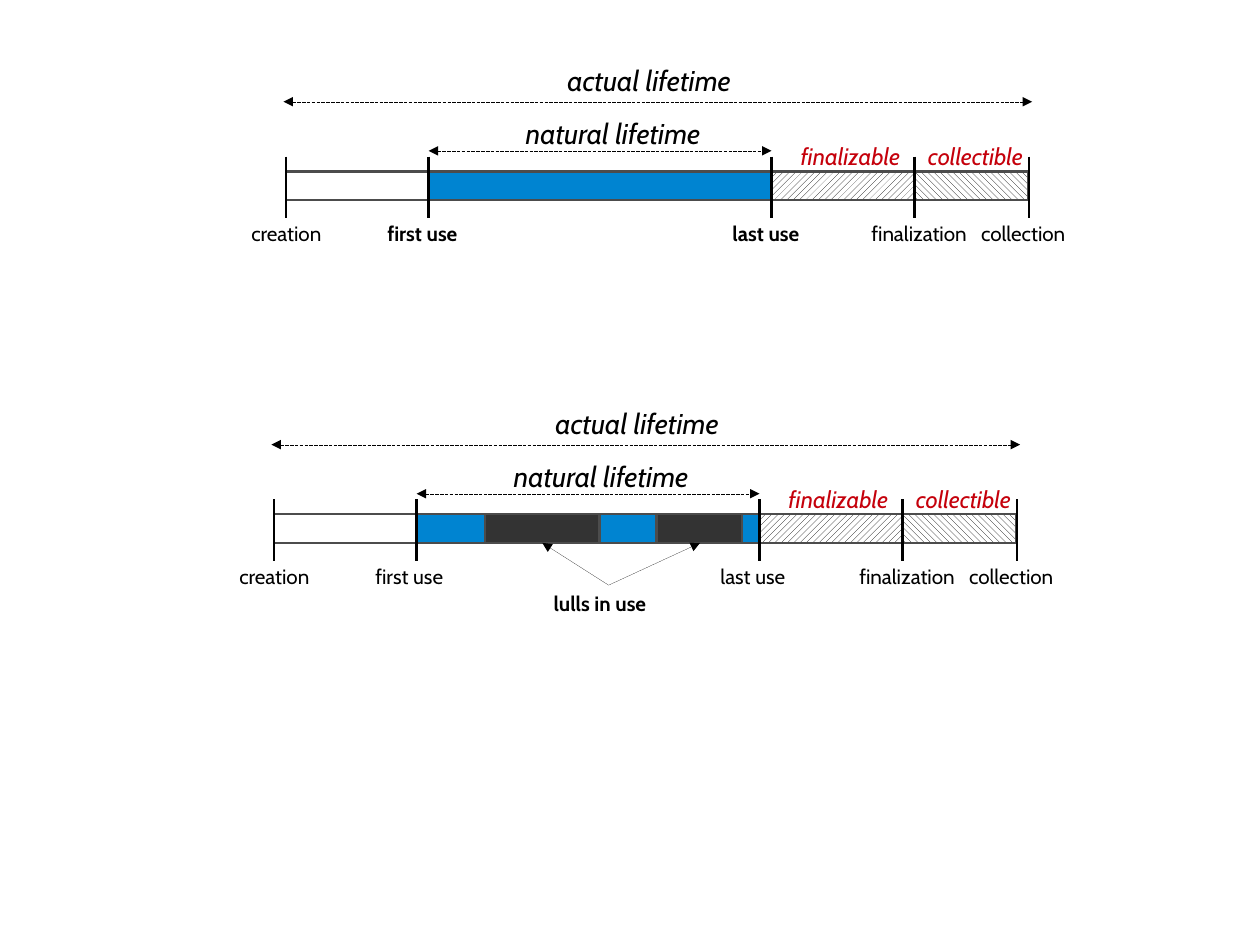
from dataclasses import dataclass
from itertools import accumulate

from lxml.etree import SubElement
from pptx import Presentation
from pptx.dml.color import RGBColor
from pptx.enum.dml import MSO_LINE, MSO_PATTERN
from pptx.enum.shapes import MSO_CONNECTOR, MSO_SHAPE
from pptx.enum.text import MSO_AUTO_SIZE
from pptx.oxml.ns import qn
from pptx.util import Cm, Inches, Pt

GRID = 0.25  # inches per column and per row
FONT = "Cabin"
BORDER = 1.45
COLORS = {
    "ink": "000000",
    "paper": "FFFFFF",
    "use": "0084D1",
    "lull": "333333",
    "border": "4C4C4C",
    "stage": "C5000B",
}

# Columns taken by each stage of the bar, with its fill
STAGES = [
    (5, None),
    (12, "use"),
    (5, MSO_PATTERN.WIDE_UPWARD_DIAGONAL),
    (4, MSO_PATTERN.WIDE_DOWNWARD_DIAGONAL),
]
# Text, column, width, width when bold
EVENTS = [
    ("creation", -1.6, 3.56, 3.56),
    ("first use", 3.16, 3.52, 3.76),
    ("last use", 15.24, 3.36, 3.56),
    ("finalization", 20.1, 4.52, 4.52),
    ("collection", 23.94, 4.04, 4.04),
]
# Text, column, row, width
LIFETIMES = [("actual lifetime", 9.46, -4, 7.12), ("natural lifetime", 8, -2.14, 7.6)]
STAGE_NAMES = [("finalizable", 17.62, 4.6), ("collectible", 22.08, 4.48)]


def color(name):
    return RGBColor.from_string(COLORS[name])


@dataclass
class Timeline:
    """Draws on the slide in grid units counted from the top left of its bar."""
    slide: object
    left: float
    top: float

    def x(self, column):
        return Inches((self.left + column) * GRID)

    def y(self, row):
        return Inches((self.top + row) * GRID)

    def add_block(self, column, width, fill):
        shape = self.slide.shapes.add_shape(
            MSO_SHAPE.RECTANGLE, self.x(column), self.y(0),
            Inches(width * GRID), Inches(GRID))
        shape.shadow.inherit = False
        shape.line.color.rgb = color("border")
        shape.line.width = Pt(BORDER)
        if fill is None:
            shape.fill.background()
        elif fill in COLORS:
            shape.fill.solid()
            shape.fill.fore_color.rgb = color(fill)
        else:
            shape.fill.patterned()
            shape.fill.pattern = fill
            shape.fill.fore_color.rgb = color("ink")
            shape.fill.back_color.rgb = color("paper")

    def add_text(self, text, column, row, width, height, size,
                 ink="ink", bold=False, italic=False):
        box = self.slide.shapes.add_textbox(
            self.x(column), self.y(row), Inches(width * GRID), Inches(height * GRID))
        frame = box.text_frame
        frame.word_wrap = False
        frame.auto_size = MSO_AUTO_SIZE.SHAPE_TO_FIT_TEXT
        run = frame.paragraphs[0].add_run()
        run.text = text
        run.font.name = FONT
        run.font.size = Pt(size)
        run.font.bold = bold
        run.font.italic = italic
        run.font.color.rgb = color(ink)

    def add_line(self, start, end, width=0, dashed=False, arrows=()):
        """Joins two (column, row) points; width 0 is a hairline, arrows names the ends."""
        connector = self.slide.shapes.add_connector(
            MSO_CONNECTOR.STRAIGHT, self.x(start[0]), self.y(start[1]),
            self.x(end[0]), self.y(end[1]))
        connector.line.color.rgb = color("ink")
        if dashed:
            connector.line.dash_style = MSO_LINE.SQUARE_DOT
        properties = connector._element.spPr.find(qn("a:ln"))
        properties.set("w", str(Pt(width)))
        for arrow in arrows:
            SubElement(properties, qn(f"a:{arrow}"), type="triangle")
        SubElement(connector._element.spPr, qn("a:effectLst"))

    def add_bar(self):
        widths = [width for width, _ in STAGES]
        ticks = list(accumulate(widths, initial=0))
        for column, (width, fill) in zip(ticks, STAGES):
            self.add_block(column, width, fill)
        for column in ticks:
            self.add_line((column, -0.52), (column, 1.64), BORDER)

    def add_labels(self, bold_events):
        for text, column, width, bold_width in EVENTS:
            bold = text in bold_events
            self.add_text(text, column, 1.54, bold_width if bold else width,
                          1.4, 13, bold=bold)
        for text, column, width in STAGE_NAMES:
            self.add_text(text, column, -1.24, width, 1.52, 15,
                          ink="stage", italic=True)

    def add_lifetimes(self):
        for text, column, row, width in LIFETIMES:
            self.add_text(text, column, row, width, 1.76, 18, italic=True)
        for first, last, row in [(-0.08, 26.12, -2.44), (5, 17, -0.72)]:
            self.add_line((first, row), (last, row), dashed=True,
                          arrows=("headEnd", "tailEnd"))

    def add_lulls(self):
        for column, width in [(7.4, 4), (13.4, 3)]:
            self.add_block(column, width, "lull")
        self.add_text("lulls in use", 9.4, 2.48, 4.6, 1.4, 13, bold=True)
        for column in (9.4, 14.92):
            self.add_line((11.72, 2.48), (column, 1), arrows=("tailEnd",))


def add_timeline(slide, left, top, bold_events=()):
    timeline = Timeline(slide, left, top)
    timeline.add_bar()
    timeline.add_labels(bold_events)
    timeline.add_lifetimes()
    return timeline


def main():
    presentation = Presentation()
    presentation.slide_width = Cm(28)
    presentation.slide_height = Cm(21)
    slide = presentation.slides.add_slide(presentation.slide_layouts[6])
    add_timeline(slide, 10, 6, bold_events=("first use", "last use"))
    add_timeline(slide, 9.58, 18).add_lulls()
    presentation.save("out.pptx")


if __name__ == "__main__":
    main()
